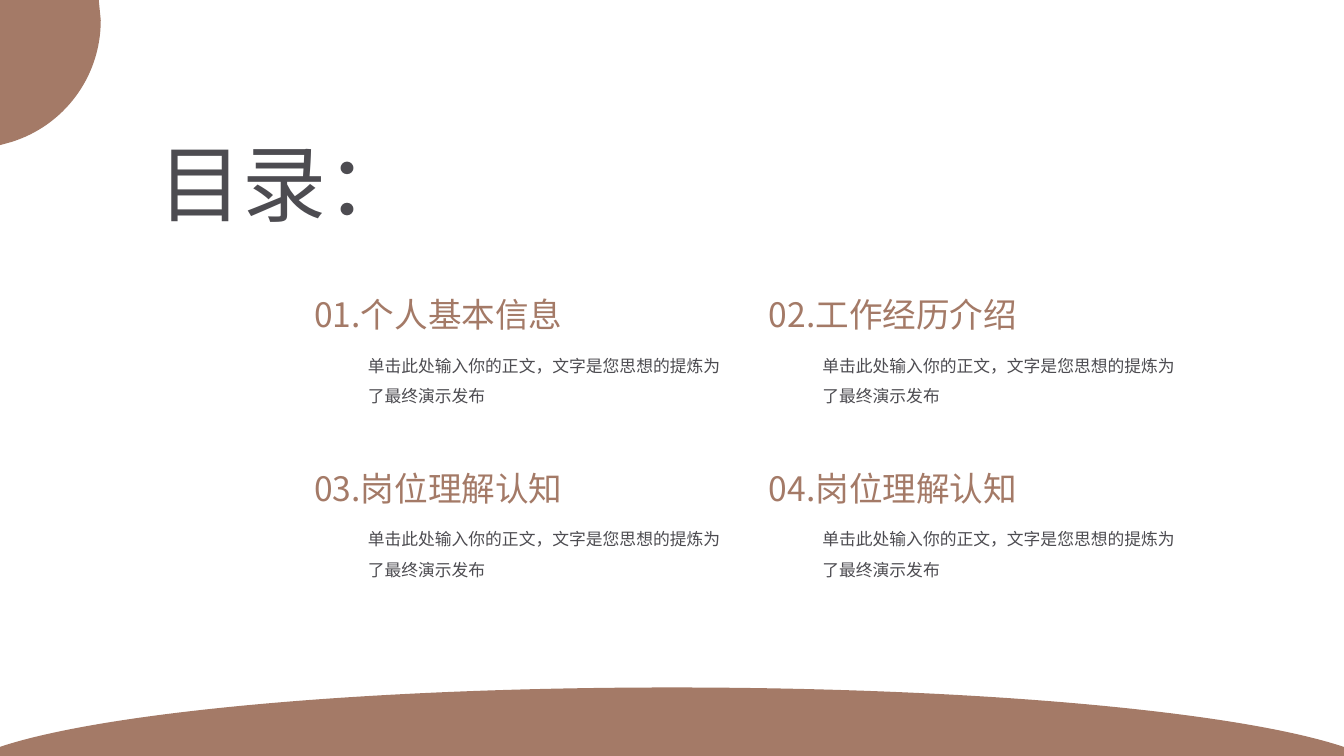
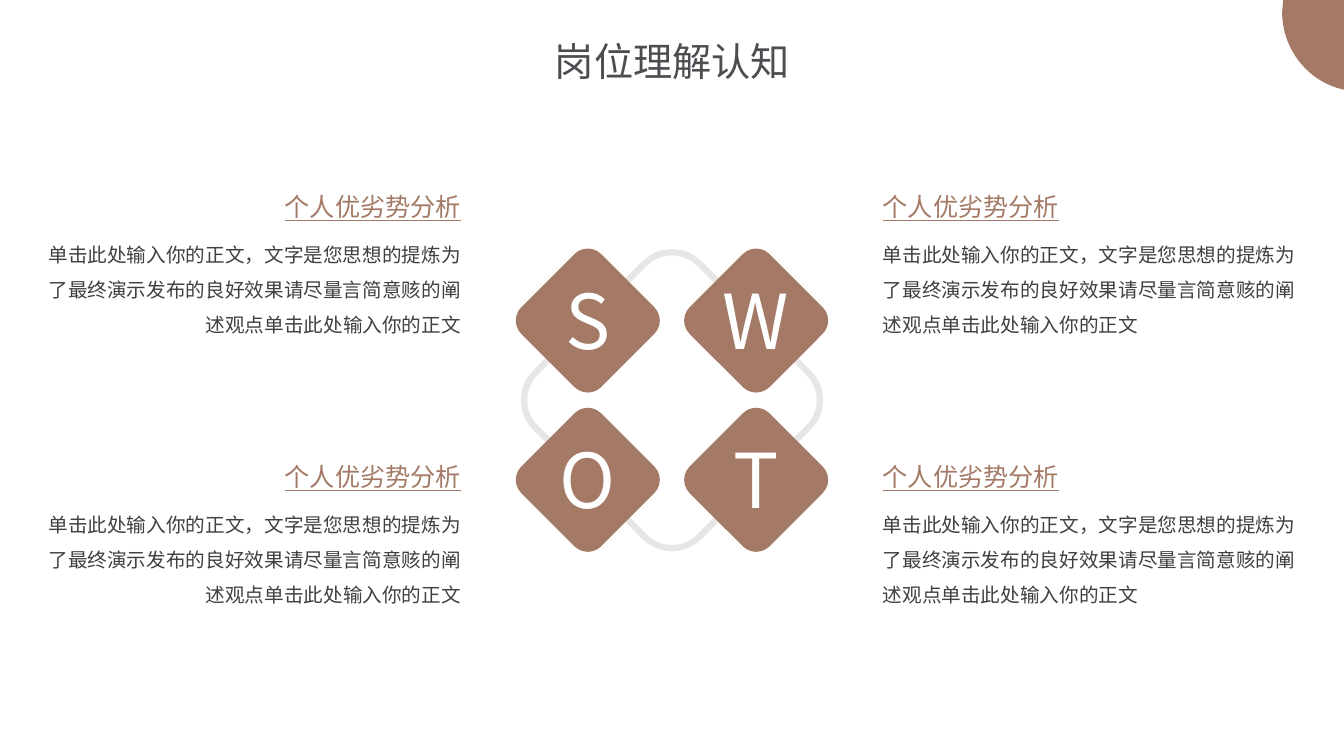
from dataclasses import dataclass

from lxml import etree
from pptx import Presentation, util as u
from pptx.dml.color import RGBColor
from pptx.enum import shapes, text
from pptx.oxml import ns


@dataclass(frozen=True)
class Theme:
    font: str = "Noto Sans CJK SC"
    brown: str = "A47A67"
    ink: str = "4D4C51"
    body_ink: str = "404040"
    ring: str = "E6E6E6"
    white: str = "FFFFFF"
    contents: int = 60
    letter: int = 54
    title: int = 28
    agenda: int = 24
    heading: int = 18
    body: int = 14
    note: int = 12


T = Theme()
WIDTH, HEIGHT = 40 / 3, 7.5
LEFT, CENTER, RIGHT = text.PP_ALIGN.LEFT, text.PP_ALIGN.CENTER, text.PP_ALIGN.RIGHT

AGENDA = ["01.个人基本信息", "02.工作经历介绍", "03.岗位理解认知", "04.岗位理解认知"]
AGENDA_NOTE = "单击此处输入你的正文，文字是您思想的提炼为了最终演示发布"
SWOT = "SWOT"
SWOT_HEADING = "个人优劣势分析"
SWOT_BODY = AGENDA_NOTE + "的良好效果请尽量言简意赅的阐述观点单击此处输入你的正文"

# Each outline is a start point, then segments: one point is a line, three a curve.
LEFT_CORNER = (0, 0), [
    [(0.98, 0)], [(1, 0.2)],
    [(1, 0.77), (0.63, 1.25), (0.11, 1.41)],
    [(0, 1.44)],
]
RIGHT_CORNER = (WIDTH, 0), [
    [(12.73, 0)], [(12.72, 0.12)],
    [(12.72, 0.47), (12.95, 0.77), (13.26, 0.87)],
    [(WIDTH, 0.89)],
]
HILL = (WIDTH / 2, 6.82), [
    [(9.64, 6.82), (12.18, 7.05), (13.27, 7.39)],
    [(WIDTH, 7.41)], [(WIDTH, HEIGHT)], [(0, HEIGHT)], [(0, 7.41)], [(0.06, 7.39)],
    [(1.15, 7.05), (3.7, 6.82), (WIDTH / 2, 6.82)],
]


def color(value):
    return RGBColor.from_string(value)


def grid(items, left, top, column_pitch, row_pitch):
    """Yield each item of a two-column grid with its left and top."""
    for index, item in enumerate(items):
        row, column = divmod(index, 2)
        yield item, left + column * column_pitch, top + row * row_pitch


def add_text(slide, words, box, size, ink, align=LEFT, spacing=None,
             wrap=False, underline=None):
    frame = slide.shapes.add_textbox(*map(u.Inches, box)).text_frame
    frame.word_wrap = wrap
    frame.auto_size = text.MSO_AUTO_SIZE.SHAPE_TO_FIT_TEXT
    paragraph = frame.paragraphs[0]
    paragraph.alignment = align
    if spacing:
        paragraph.line_spacing = spacing
    run = paragraph.add_run()
    run.text = words
    font = run.font
    font.size, font.underline, font.name = u.Pt(size), underline, T.font
    font.color.rgb = color(ink)
    east_asian = etree.SubElement(run._r.get_or_add_rPr(), ns.qn("a:ea"))
    east_asian.set("typeface", T.font)


def add_curved_band(slide, outline):
    """Build the outline with lines, then join each curve's three points."""
    start, segments = outline
    builder = slide.shapes.build_freeform(*map(u.Inches, start))
    builder.add_line_segments(
        [tuple(map(u.Inches, point)) for segment in segments for point in segment],
        close=True)
    band = builder.convert_to_shape()
    lines = iter(list(band._element.iter(ns.qn("a:lnTo"))))
    for segment in segments:
        steps = [next(lines) for _ in segment]
        if len(steps) == 3:
            curve = etree.Element(ns.qn("a:cubicBezTo"))
            steps[0].addprevious(curve)
            for step in steps:
                curve.append(step[0])
                step.getparent().remove(step)
    band.shadow.inherit = False
    band.fill.solid()
    band.fill.fore_color.rgb = color(T.brown)
    band.line.fill.background()


def add_diamond(slide, x, y, side, fill=None, line=None):
    """Add a rounded square turned on its corner, centred on x, y."""
    box = (x - side / 2, y - side / 2, side, side)
    diamond = slide.shapes.add_shape(
        shapes.MSO_SHAPE.ROUNDED_RECTANGLE, *map(u.Inches, box))
    diamond.rotation = 45
    diamond.shadow.inherit = False
    if fill:
        diamond.fill.solid()
        diamond.fill.fore_color.rgb = color(fill)
    else:
        diamond.fill.background()
    if line:
        diamond.line.color.rgb = color(line)
        diamond.line.width = u.Pt(4.5)
    else:
        diamond.line.fill.background()


def build_contents(slide):
    add_curved_band(slide, LEFT_CORNER)
    add_text(slide, "目录：", (1.47, 1.26, 2.73, 1.11), T.contents, T.ink)
    for entry, x, y in grid(AGENDA, 3.02, 2.87, 4.51, 1.72):
        add_text(slide, entry, (x, y, 2.76, 0.5), T.agenda, T.brown)
        add_text(slide, AGENDA_NOTE, (x + 0.53, y + 0.51, 3.81, 0.71),
                 T.note, T.ink, spacing=1.5, wrap=True)
    add_curved_band(slide, HILL)


def build_swot(slide):
    add_curved_band(slide, RIGHT_CORNER)
    add_text(slide, "岗位理解认知", (5.39, 0.32, 2.56, 0.57), T.title, T.ink, CENTER)

    middle_x, middle_y = WIDTH / 2, 3.97
    pitch_x, pitch_y = 1.67, 1.58
    add_diamond(slide, middle_x, middle_y, 2.3, line=T.ring)
    letters = list(grid(SWOT, middle_x - pitch_x / 2, middle_y - pitch_y / 2,
                        pitch_x, pitch_y))
    for _, x, y in letters:
        add_diamond(slide, x, y, 1.12, fill=T.brown)
    for letter, x, y in letters:
        add_text(slide, letter, (x - 0.48, y - 0.51, 0.96, 1.01),
                 T.letter, T.white, CENTER)

    heading_width, body_width, inner_edge = 1.97, 4.32, 8.66
    for align in (LEFT, RIGHT):
        for y in (1.85, 4.53):
            for words, width, top, height, style in (
                (SWOT_HEADING, heading_width, y, 0.4,
                 dict(size=T.heading, ink=T.brown, underline=True)),
                (SWOT_BODY, body_width, y + 0.39, 1.16,
                 dict(size=T.body, ink=T.body_ink, spacing=1.5, wrap=True)),
            ):
                x = inner_edge if align == LEFT else WIDTH - inner_edge - width
                add_text(slide, words, (x, top, width, height), align=align, **style)


def main():
    deck = Presentation()
    deck.slide_width, deck.slide_height = u.Inches(WIDTH), u.Inches(HEIGHT)
    for build in (build_contents, build_swot):
        build(deck.slides.add_slide(deck.slide_layouts[6]))
    deck.save("out.pptx")


if __name__ == "__main__":
    main()
